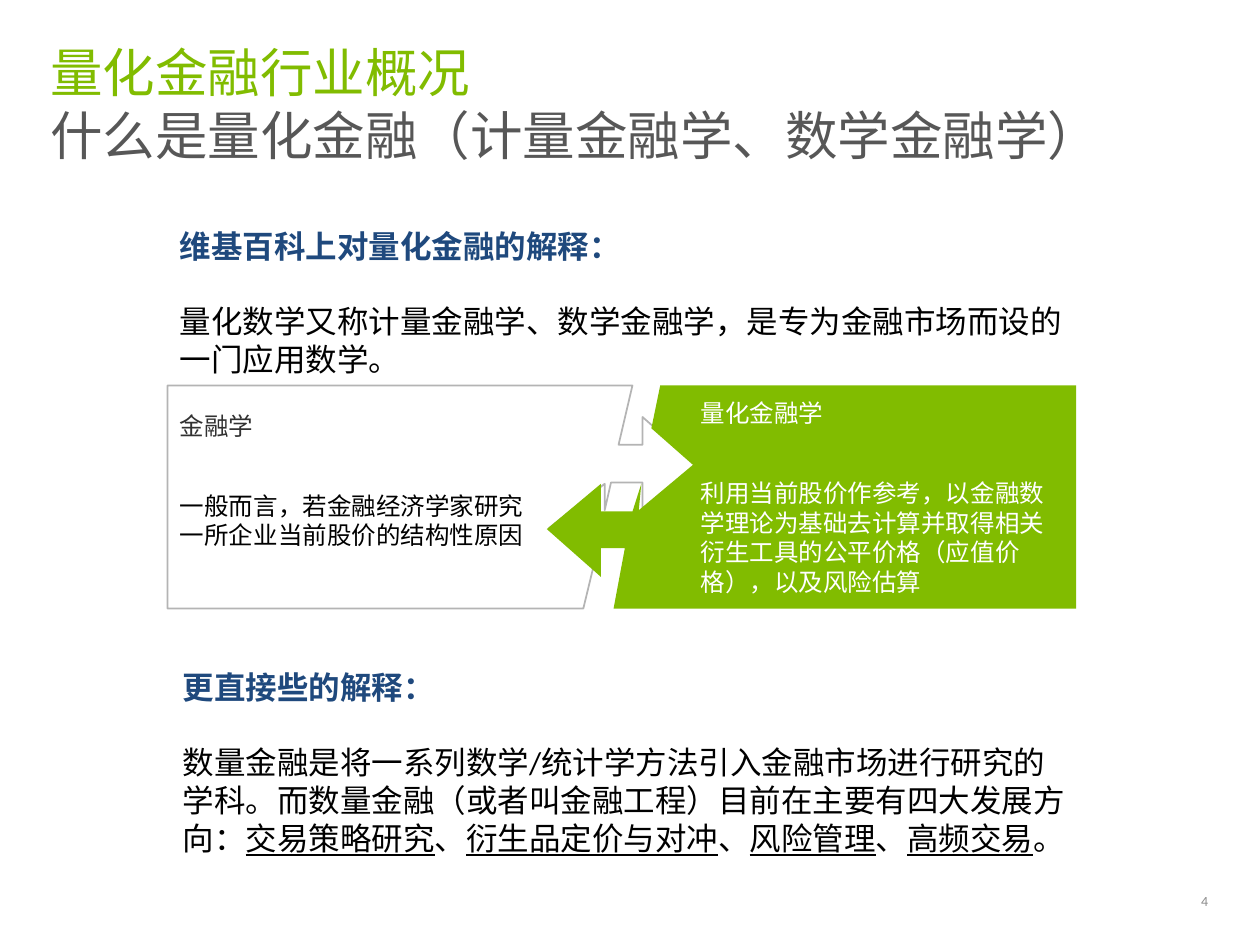
from pptx import Presentation
from pptx.dml.color import RGBColor
from pptx.enum import text
from pptx.util import Inches, Pt

GREEN = RGBColor(0x81, 0xBC, 0x00)
GREY = RGBColor(0x57, 0x57, 0x57)
PALE = RGBColor(0x8C, 0x8C, 0x8C)
OUTLINE = RGBColor(0xB4, 0xB4, 0xB4)
DARK = RGBColor(0x31, 0x31, 0x31)
NAVY = RGBColor(0x1F, 0x49, 0x7D)
BLACK = RGBColor(0, 0, 0)
WHITE = RGBColor(0xFF, 0xFF, 0xFF)


def write(para, content, size=18, color=BLACK, bold=False, underline=False,
          before=0, align=text.PP_ALIGN.LEFT):
    """Append a formatted span to a paragraph."""
    para.alignment = align
    para.space_before = Pt(before)
    span = para.add_run()
    span.text = content
    span.font.name = "Calibri"
    span.font.size = Pt(size)
    span.font.color.rgb = color
    span.font.bold = bold
    span.font.underline = underline


def set_frame(frame, left, top, right, bottom, anchor=text.MSO_ANCHOR.TOP):
    """Set wrapping, insets and anchor, and return the first paragraph."""
    frame.word_wrap = True
    frame.auto_size = text.MSO_AUTO_SIZE.NONE
    frame.vertical_anchor = anchor
    frame.margin_left, frame.margin_top = Inches(left), Inches(top)
    frame.margin_right, frame.margin_bottom = Inches(right), Inches(bottom)
    return frame.paragraphs[0]


deck = Presentation()
deck.slide_width, deck.slide_height = Inches(10), Inches(7.5)
page = deck.slides.add_slide(deck.slide_layouts[5])

# Two-line title
title = page.shapes.title
title.left, title.top = Inches(0.4), Inches(0.32)
title.width, title.height = Inches(9.17), Inches(0.51)
para = set_frame(title.text_frame, 0, 0, 0, 0)
write(para, "量化金融行业概况", size=30, color=GREEN)
para.add_line_break()
write(para, "什么是量化金融（计量金融学、数学金融学）", size=30, color=GREY)

# Page number
box = page.shapes.add_textbox(Inches(8.72), Inches(7.01), Inches(0.87), Inches(0.28))
para = set_frame(box.text_frame, 0, 0, 0, 0, text.MSO_ANCHOR.MIDDLE)
write(para, "4", size=8, color=PALE, align=text.PP_ALIGN.RIGHT)

# Interlocking arrow panels: outline, fill, line, insets, heading, body
panels = [
    ([(4.63, 4.83), (1.33, 4.83), (1.33, 3.06), (5.02, 3.06), (4.91, 3.53),
      (5.1, 3.53), (5.1, 3.31), (5.53, 3.69), (5.1, 4.05), (5.1, 3.83),
      (4.85, 3.83), (4.8, 4.05), (4.8, 3.84), (4.36, 4.19), (4.71, 4.5)],
     WHITE, OUTLINE, (0.1, 0.2, 1.3, 0.04), "金融学", DARK,
     "一般而言，若金融经济学家研究一所企业当前股价的结构性原因", BLACK),
    ([(5.24, 3.06), (8.54, 3.06), (8.54, 4.83), (4.87, 4.83), (4.96, 4.35),
      (4.77, 4.35), (4.77, 4.58), (4.34, 4.2), (4.77, 3.84), (4.77, 4.06),
      (5.02, 4.06), (5.09, 3.84), (5.07, 4.05), (5.5, 3.69), (5.17, 3.4)],
     GREEN, None, (1.22, 0.1, 0.1, 0.04), "量化金融学", WHITE,
     "利用当前股价作参考，以金融数学理论为基础去计算并取得相关衍生工具的公平价格"
     "（应值价格），以及风险估算", WHITE),
]
for points, fill, line, insets, heading, heading_color, body, body_color in panels:
    # The builder rounds its coordinates to whole units, so lengths go in as Inches
    corners = [(Inches(x), Inches(y)) for x, y in points]
    builder = page.shapes.build_freeform(*corners[0])
    builder.add_line_segments(corners[1:], close=True)
    panel = builder.convert_to_shape()
    panel.shadow.inherit = False
    panel.fill.solid()
    panel.fill.fore_color.rgb = fill
    if line:
        panel.line.color.rgb = line
        panel.line.width = Pt(1)
    else:
        panel.line.fill.background()
    para = set_frame(panel.text_frame, *insets)
    write(para, heading, size=14, color=heading_color)
    write(panel.text_frame.add_paragraph(), body, size=14, color=body_color, before=29)

# Explanations above and below the panels: (span, underlined) pairs
explanations = [
    (1.33, 1.75, 1.31, "维基百科上对量化金融的解释：",
     [("量化数学又称计量金融学、数学金融学，是专为金融市场而设的一门应用数学。", False)]),
    (1.35, 5.25, 1.62, "更直接些的解释：",
     [("数量金融是将一系列数学/统计学方法引入金融市场进行研究的学科。"
       "而数量金融（或者叫金融工程）目前在主要有四大发展方向：", False),
      ("交易策略研究", True), ("、", False), ("衍生品定价与对冲", True), ("、", False),
      ("风险管理", True), ("、", False), ("高频交易", True), ("。", False)]),
]
for left, top, height, heading, spans in explanations:
    box = page.shapes.add_textbox(Inches(left), Inches(top), Inches(7.25), Inches(height))
    para = set_frame(box.text_frame, 0.1, 0.05, 0.1, 0.05)
    write(para, heading, color=NAVY, bold=True)
    para = box.text_frame.add_paragraph()
    for content, underlined in spans:
        write(para, content, underline=underlined, before=21.5)

deck.save("out.pptx")
